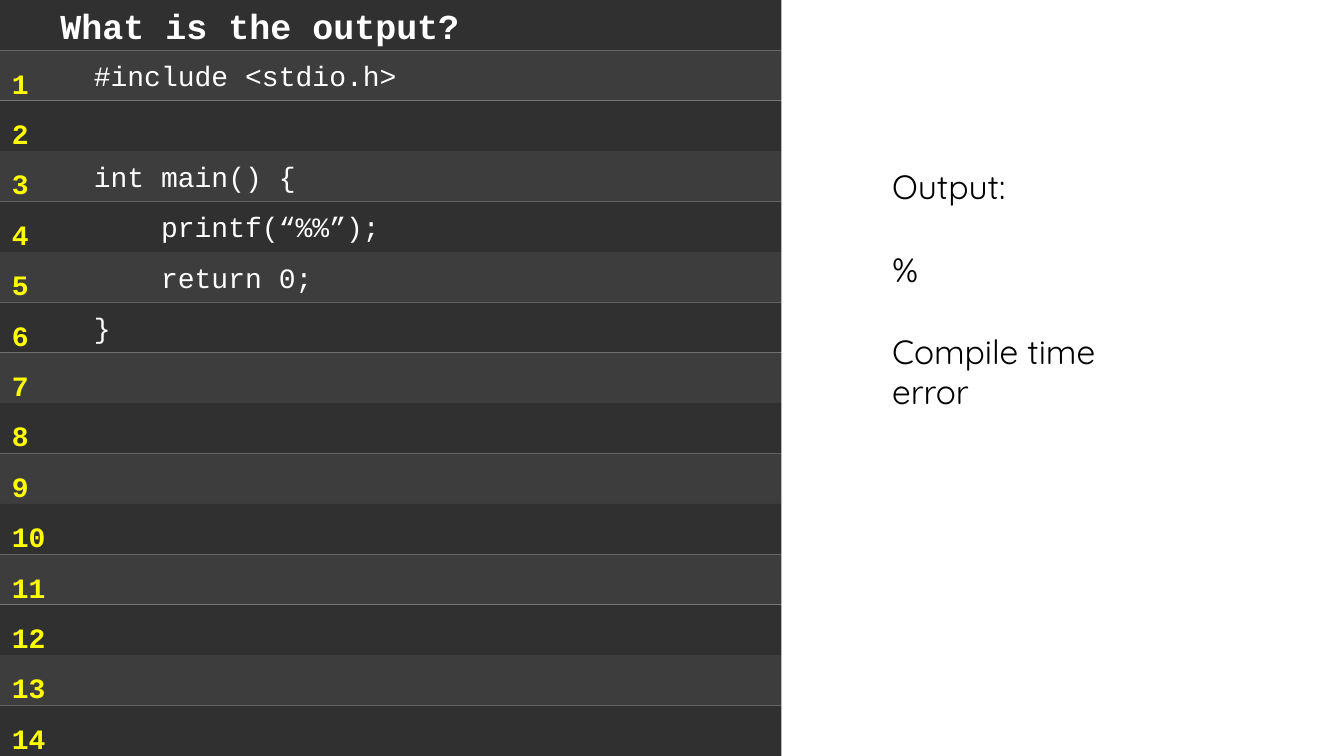
from pptx import Presentation
from pptx.dml.color import RGBColor
from pptx.enum.shapes import MSO_SHAPE
from pptx.enum.text import MSO_ANCHOR, MSO_AUTO_SIZE, PP_ALIGN
from pptx.util import Pt

TITLE = "What is the output?"
CODE = [
    "#include <stdio.h>",
    "",
    "int main() {",
    "    printf(“%%”);",
    "    return 0;",
    "}",
]
ANSWERS = ["Output:", "%", "Compile time error"]
LINE_COUNT = 14

EMU_PER_PX = 9144
SLIDE_WIDTH, SLIDE_HEIGHT = 1333, 750
EDITOR_WIDTH, ROW_HEIGHT = 775, 50
TITLE_INSET, CODE_INSET = 60, 93
NUMBERS_BOX = (2, 44, 56, 713)
ANSWERS_BOX = (875, 160, 294, 252)
BANDS = ["303030", "3D3D3D"]

TITLE_FONT = {"name": "Courier New", "size": Pt(25), "bold": True}
CODE_FONT = {"name": "Courier New", "size": Pt(20), "bold": False}
NUMBER_FONT = {"name": "Courier New", "size": Pt(20), "bold": True}
ANSWER_FONT = {"name": "Quicksand", "size": Pt(24), "bold": False}
BAND_FRAME = {
    "word_wrap": True,
    "auto_size": MSO_AUTO_SIZE.NONE,
    "vertical_anchor": MSO_ANCHOR.MIDDLE,
}
BOX_FRAME = {"word_wrap": True, "auto_size": MSO_AUTO_SIZE.SHAPE_TO_FIT_TEXT}


def px(length):
    """Turn px into EMU."""
    return length * EMU_PER_PX


def rgb(color):
    """Turn a hex string into a colour."""
    return RGBColor.from_string(color)


def apply(target, values):
    """Set each value of a dict as an attribute."""
    for key, value in values.items():
        setattr(target, key, value)


def write(frame, lines, font, color, **spacing):
    """Write left-aligned paragraphs, with space before all but the first."""
    gap = spacing.pop("gap", Pt(0))
    for index, line in enumerate(lines):
        paragraph = frame.add_paragraph() if index else frame.paragraphs[0]
        paragraph.text = line
        before = gap if index else Pt(0)
        apply(paragraph, {"alignment": PP_ALIGN.LEFT, "space_before": before, **spacing})
        apply(paragraph.font, font)
        paragraph.font.color.rgb = rgb(color)


def fill_band(band, row, text, inset, font):
    """Colour one editor row and write its text."""
    band.fill.solid()
    band.fill.fore_color.rgb = rgb(BANDS[row % 2])
    band.line.fill.background()
    if text:
        apply(band.text_frame, {**BAND_FRAME, "margin_left": px(inset)})
        write(band.text_frame, [text], font, "FFFFFF")


def add_box(slide, box, lines, font, color, **spacing):
    """Add a wrapping text box."""
    frame = slide.shapes.add_textbox(*map(px, box)).text_frame
    apply(frame, BOX_FRAME)
    write(frame, lines, font, color, **spacing)


def main():
    """Build the code quiz slide."""
    deck = Presentation()
    apply(deck, {"slide_width": px(SLIDE_WIDTH), "slide_height": px(SLIDE_HEIGHT)})
    slide = deck.slides.add_slide(deck.slide_layouts[5])

    title = slide.shapes.title
    apply(title, {"left": 0, "top": 0, "width": px(EDITOR_WIDTH), "height": px(ROW_HEIGHT)})
    fill_band(title, 0, TITLE, TITLE_INSET, TITLE_FONT)

    for row in range(1, LINE_COUNT + 1):
        band = slide.shapes.add_shape(
            MSO_SHAPE.RECTANGLE, 0, px(row * ROW_HEIGHT), px(EDITOR_WIDTH), px(ROW_HEIGHT)
        )
        band.shadow.inherit = False
        code_line = CODE[row - 1] if row <= len(CODE) else ""
        fill_band(band, row, code_line, CODE_INSET, CODE_FONT)

    numbers = [str(number) for number in range(1, LINE_COUNT + 1)]
    add_box(slide, NUMBERS_BOX, numbers, NUMBER_FONT, "FFFF00", line_spacing=1.5)
    add_box(slide, ANSWERS_BOX, ANSWERS, ANSWER_FONT, "000000", gap=Pt(30))

    deck.save("out.pptx")


if __name__ == "__main__":
    main()
